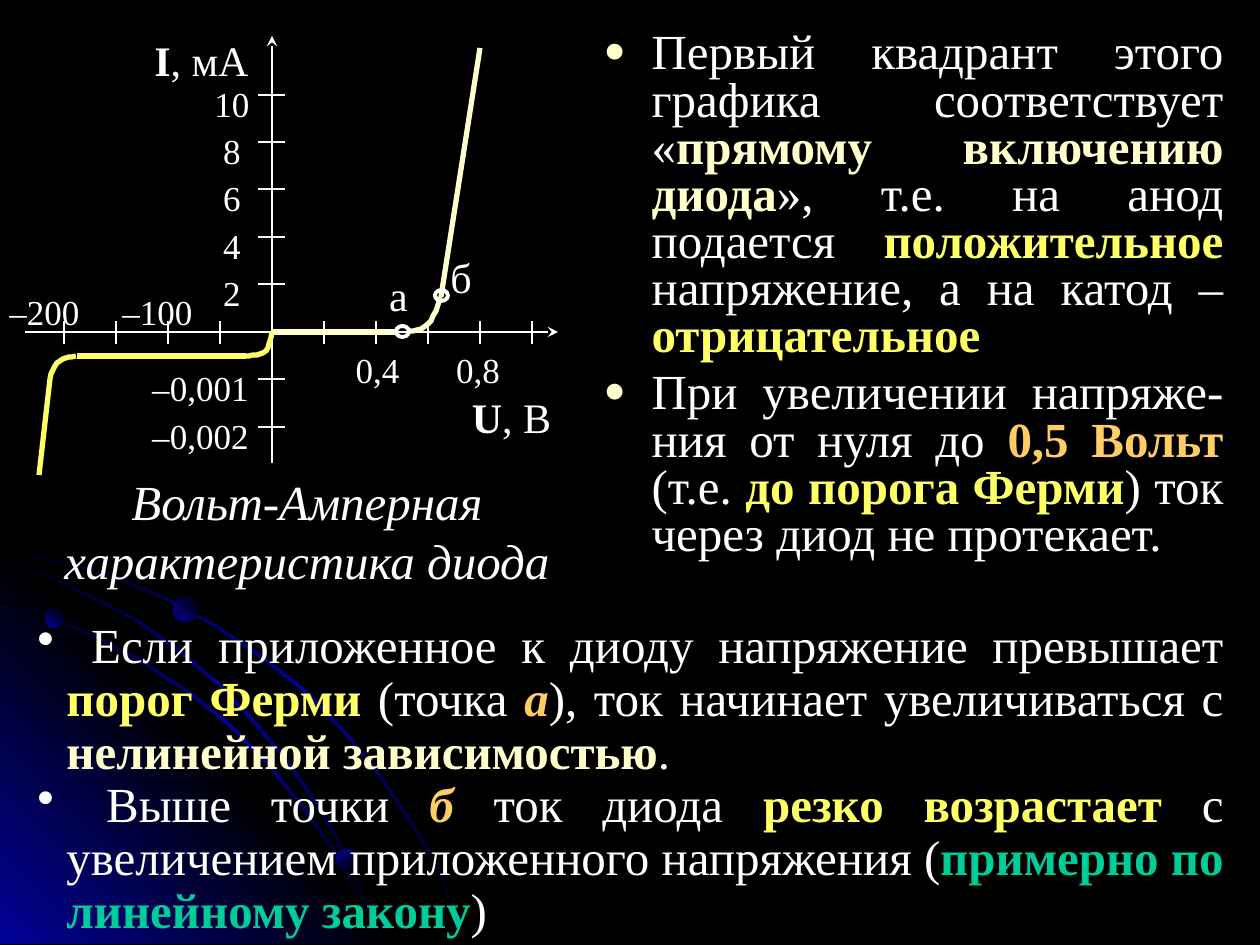
from lxml.etree import SubElement
from pptx import Presentation
from pptx.dml.color import RGBColor
from pptx.enum.shapes import MSO_CONNECTOR, MSO_SHAPE
from pptx.enum.text import MSO_ANCHOR, MSO_AUTO_SIZE, PP_ALIGN
from pptx.oxml import parse_xml
from pptx.oxml.ns import nsdecls, qn
from pptx.util import Inches, Pt

PX = 7257  # EMU per pixel at 126 pixels to the inch
WHITE, CREAM, YELLOW, ORANGE, GREEN = "FFFFFF", "FFFFCC", "FFFF66", "FFCC66", "00CC99"
BLACK, BLUE = "000000", "010199"


def outline(sp, color, width):
    """Give a shape or connector a plain line without shadow."""
    sp.line.color.rgb = RGBColor.from_string(color)
    sp.line.width = Pt(width)
    SubElement(sp._element.spPr, qn("a:effectLst"))


def write(p, size, runs):
    """Add runs of (text, colour, style letters) to a paragraph."""
    for text, color, style in runs:
        r = p.add_run()
        r.text = text
        r.font.name = "Times New Roman"
        r.font.size = Pt(size)
        r.font.color.rgb = RGBColor.from_string(color)
        r.font.bold = "b" in style
        r.font.italic = "i" in style


prs = Presentation()
prs.slide_width, prs.slide_height = Inches(10), Inches(7.5)
s = prs.slides.add_slide(prs.slide_layouts[1])
s.background.fill.solid()
s.background.fill.fore_color.rgb = RGBColor.from_string(BLACK)
title = s.shapes.title._element
title.getparent().remove(title)

# Corner decoration: glowing arcs, blue corner and spheres
arcs = [
    [(0, 551), (71, 566), (122, 581), (170, 602), (218, 629), (262, 659), (304, 692),
     (341, 730), (375, 771), (407, 818), (425, 848), (441, 879), (454, 911), (466, 944)],
    [(0, 601), (49, 617), (97, 639), (145, 665), (189, 694), (231, 728), (268, 766),
     (302, 808), (334, 853), (359, 900), (370, 922), (379, 944)],
    [(0, 559), (45, 576), (93, 599), (137, 622), (179, 653), (218, 685), (255, 725),
     (286, 762), (318, 808), (336, 840), (353, 874), (368, 910), (379, 944)],
]
bands = [(a + [(x + 2, y - 2) for x, y in reversed(a)], (BLACK, BLUE, BLACK), 45) for a in arcs]
bands.insert(1, ([(405, 944), (0, 944), (0, 538)], (BLUE, BLACK, BLUE), 315))
glows = []
for points, stops, angle in bands:
    fb = s.shapes.build_freeform(*points[0], scale=PX)
    fb.add_line_segments(points[1:], close=True)
    glows.append((fb.convert_to_shape(), stops, angle))
for x, y, d, angle in [(45, 609, 19, 315), (336, 849, 20, 45), (173, 596, 26, 315)]:
    sp = s.shapes.add_shape(MSO_SHAPE.OVAL, x * PX, y * PX, d * PX, d * PX)
    glows.append((sp, (BLUE, BLACK), angle))
for sp, stops, angle in glows:
    step = 100000 // (len(stops) - 1)
    gs = "".join(f'<a:gs pos="{i * step}"><a:srgbClr val="{c}"/></a:gs>' for i, c in enumerate(stops))
    sp.line.fill.background()
    sp.shadow.inherit = False
    sp._element.spPr.find(qn("a:ln")).addprevious(parse_xml(
        f'<a:gradFill {nsdecls("a")}><a:gsLst>{gs}</a:gsLst><a:lin ang="{angle * 60000}"/></a:gradFill>'))

# Axes, ticks and straight parts of the characteristic
tick_y = [95 + k * 332 // 7 for k in range(8)]
tick_x = [64 + 52 * k for k in range(10)]
lines = [(258, y, 285, y, WHITE, 0.75) for y in tick_y if y != 332]
lines += [(x, 321, x, 344, WHITE, 0.75) for x in tick_x if x != 272]
axes = [(272, 463, 272, 36, WHITE, 0.75), (25, 332, 558, 332, WHITE, 0.75)]
branches = [(272, 332, 396, 332, CREAM, 3), (441, 297, 480, 48, CREAM, 3),
            (77, 356, 246, 356, YELLOW, 3), (50, 379, 39, 475, YELLOW, 3)]
for line in lines + axes + branches:
    x1, y1, x2, y2, color, width = line
    sp = s.shapes.add_connector(MSO_CONNECTOR.STRAIGHT, x1 * PX, y1 * PX, x2 * PX, y2 * PX)
    outline(sp, color, width)
    if line in axes:
        SubElement(sp.line._get_or_add_ln(), qn("a:tailEnd"), type="stealth")

# Bends between the straight parts, as cubic curves
bends = [([(408, 331), (424, 331), (434, 324), (440, 297)], CREAM),
         ([(272, 332), (268, 356), (262, 355), (244, 356)], YELLOW),
         ([(76, 356), (64, 358), (54, 360), (50, 379)], YELLOW)]
for (a, b, c, d), color in bends:
    points = []
    for t in [k / 10 for k in range(1, 11)]:
        u = 1 - t
        points.append([u**3 * a[i] + 3 * u * u * t * b[i] + 3 * u * t * t * c[i] + t**3 * d[i]
                       for i in (0, 1)])
    fb = s.shapes.build_freeform(*a, scale=PX)
    fb.add_line_segments(points, close=False)
    sp = fb.convert_to_shape()
    sp.fill.background()
    outline(sp, color, 3)

for x, y in [(396, 326), (435, 290)]:
    sp = s.shapes.add_shape(MSO_SHAPE.OVAL, x * PX, y * PX, 13 * PX, 11 * PX)
    sp.fill.background()
    outline(sp, WHITE, 2.25)

# Labels of the graph
labels = [(258 - w, tick_y[k] - 12, w, 35, 20, [(text, WHITE, "")]) for k, text, w in [
    (0, "10", 52), (1, "8", 52), (2, "6", 52), (3, "4", 52), (4, "2", 52),
    (6, "–0,001", 115), (7, "–0,002", 115)]]
labels += [(x, y, w, h, size, [(text, WHITE, "")]) for x, y, w, h, size, text in [
    (353, 348, 49, 44, 20, "0,4"), (451, 348, 54, 44, 20, "0,8"),
    (113, 290, 89, 32, 20, "–100"), (0, 290, 89, 32, 20, "–200"),
    (382, 270, 33, 50, 24, "а"), (441, 251, 40, 47, 24, "б")]]
labels += [(144, 35, 115, 48, 24, [("I", WHITE, "b"), (", мА", WHITE, "")]),
           (466, 392, 91, 35, 24, [("U", WHITE, "b"), (", В", WHITE, "")])]
for x, y, w, h, size, runs in labels:
    tf = s.shapes.add_textbox(x * PX, y * PX, w * PX, h * PX).text_frame
    tf.margin_left = tf.margin_right = tf.margin_top = tf.margin_bottom = 0
    tf.word_wrap = True
    tf.paragraphs[0].alignment = PP_ALIGN.CENTER
    write(tf.paragraphs[0], size, runs)

tf = s.shapes.add_textbox(34 * PX, 465 * PX, 546 * PX, 117 * PX).text_frame
tf.word_wrap = True
for i, text in enumerate(["Вольт-Амперная", "характеристика диода"]):
    p = tf.add_paragraph() if i else tf.paragraphs[0]
    p.alignment = PP_ALIGN.CENTER
    write(p, 28, [(text, WHITE, "i")])

# Bulleted lists
body = s.placeholders[1]
body.left, body.top, body.width, body.height = 591 * PX, 26 * PX, 645 * PX, 605 * PX
notes = s.shapes.add_textbox(25 * PX, 615 * PX, 1211 * PX, 330 * PX)
body_items = [
    [("Первый квадрант этого графика соответствует «", WHITE, ""),
     ("прямому включению диода", CREAM, "b"), ("», т.е. на анод подается ", WHITE, ""),
     ("положительное", YELLOW, "b"), (" напряжение, а на катод – ", WHITE, ""),
     ("отрицательное", YELLOW, "b")],
    [("При увеличении напряже-ния от нуля до ", WHITE, ""), ("0,5 Вольт", ORANGE, "b"),
     (" (т.е. ", WHITE, ""), ("до порога Ферми", YELLOW, "b"),
     (") ток через диод не протекает.", WHITE, "")],
]
notes_items = [
    [(" Если приложенное к диоду напряжение превышает ", WHITE, ""),
     ("порог Ферми", YELLOW, "b"), (" (точка ", WHITE, ""), ("а", ORANGE, "bi"),
     ("), ток начинает увеличиваться с ", WHITE, ""),
     ("нелинейной зависимостью", CREAM, "b"), (".", WHITE, "")],
    [(" Выше точки ", WHITE, ""), ("б", ORANGE, "bi"), (" ток диода ", WHITE, ""),
     ("резко возрастает", YELLOW, "b"), (" с увеличением приложенного напряжения (", WHITE, ""),
     ("примерно по линейному закону", GREEN, "b"), (")", WHITE, "")],
]
for sp, items, spacing, before, indent, bullet, color, percent in [
        (body, body_items, 0.8, 6, 48, "●", CREAM, 75),
        (notes, notes_items, 0.9, 0, 29, "•", WHITE, 100)]:
    tf = sp.text_frame
    tf.word_wrap = True
    tf.auto_size = MSO_AUTO_SIZE.NONE
    tf.vertical_anchor = MSO_ANCHOR.TOP
    for i, runs in enumerate(items):
        p = tf.add_paragraph() if i else tf.paragraphs[0]
        p.alignment = PP_ALIGN.JUSTIFY
        p.line_spacing, p.space_before = spacing, Pt(before)
        pPr = p._p.get_or_add_pPr()
        pPr.set("marL", str(indent * PX))
        pPr.set("indent", str(-indent * PX))
        SubElement(SubElement(pPr, qn("a:buClr")), qn("a:srgbClr"), val=color)
        SubElement(pPr, qn("a:buSzPct"), val=str(percent * 1000))
        SubElement(pPr, qn("a:buChar"), char=bullet)
        write(p, 28, runs)

prs.save("out.pptx")
